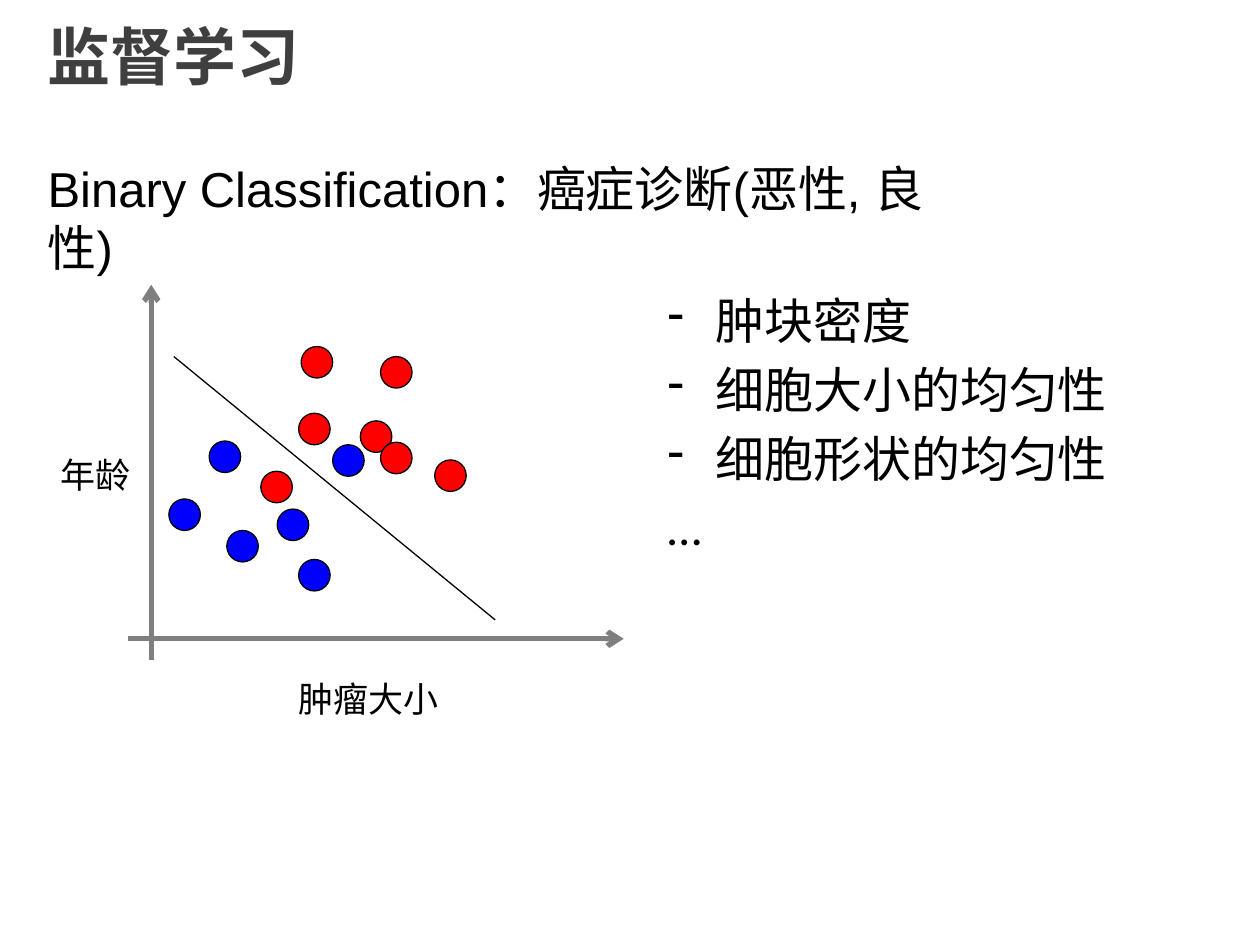
import pptx
import pptx.dml.color
import pptx.enum.shapes
import pptx.enum.text
import pptx.oxml
import pptx.oxml.ns
import pptx.util
import lxml.etree

deck = pptx.Presentation()
deck.slide_width = pptx.util.Inches(10)
deck.slide_height = pptx.util.Inches(7.5)
slide = deck.slides.add_slide(deck.slide_layouts[6])

# Grid of 1000 columns by 750 rows
COL = deck.slide_width // 1000
ROW = deck.slide_height // 750


def colour(hex_string):
    return pptx.dml.color.RGBColor.from_string(hex_string)


def write(left, top, width, height, lines, font, size, ink="000000", wrap=True):
    frame = slide.shapes.add_textbox(left * COL, top * ROW, width * COL, height * ROW).text_frame
    frame.word_wrap = wrap
    frame.text = "\n".join(lines)
    for paragraph in frame.paragraphs:
        paragraph.font.name = font
        paragraph.font.size = pptx.util.Pt(size)
        paragraph.font.color.rgb = colour(ink)
    return frame


# Title
title = write(28, 5, 862, 85, ["监督学习"], "DejaVu Sans", 36, "3F3F3F")
title.vertical_anchor = pptx.enum.text.MSO_ANCHOR.MIDDLE
title.paragraphs[0].font.bold = True
title.paragraphs[0].line_spacing = 0.9

# Axis labels
write(227, 533, 132, 44, ["肿瘤大小"], "Calibri", 20, wrap=False)
write(38, 355, 76, 44, ["年龄"], "Calibri", 20, wrap=False)

# Further features, the last line without a dash
features = write(520, 226, 442, 267,
                 ["肿块密度", "细胞大小的均匀性", "细胞形状的均匀性", "…"], "Calibri", 28)
for paragraph in features.paragraphs:
    paragraph.space_before = pptx.util.Pt(5.6)
    properties = paragraph._p.get_or_add_pPr()
    properties.set("marL", str(38 * COL))
    properties.set("indent", str(-38 * COL))
    if paragraph.text != "…":
        dash = pptx.oxml.parse_xml(
            f'<a:buChar {pptx.oxml.ns.nsdecls("a")} char="-"/>')
        properties.find(pptx.oxml.ns.qn("a:defRPr")).addprevious(dash)

# Axes and decision boundary: start, end, colour, weight, arrowhead
for x1, y1, x2, y2, ink, weight, arrow in [
    (120, 524, 120, 226, "7F7F7F", 3, True),
    (102, 507, 495, 507, "7F7F7F", 3, True),
    (138, 283, 393, 492, "000000", 0.75, False),
]:
    stroke = slide.shapes.add_connector(
        pptx.enum.shapes.MSO_CONNECTOR.STRAIGHT, x1 * COL, y1 * ROW, x2 * COL, y2 * ROW)
    stroke.line.color.rgb = colour(ink)
    stroke.line.width = pptx.util.Pt(weight)
    if arrow:
        lxml.etree.SubElement(stroke.line._get_or_add_ln(),
                              pptx.oxml.ns.qn("a:tailEnd"), type="arrow")
    lxml.etree.SubElement(stroke._element.spPr, pptx.oxml.ns.qn("a:effectLst"))

# Patients: benign in blue, malignant in red
DOT = 25
patients = {
    "0000FF": [(134, 396), (180, 421), (166, 350), (237, 444), (220, 404), (264, 353)],
    "FF0000": [(239, 275), (286, 334), (237, 328), (302, 283), (345, 365), (302, 351),
               (207, 374)],
}
for diagnosis, places in patients.items():
    for x, y in places:
        dot = slide.shapes.add_shape(
            pptx.enum.shapes.MSO_SHAPE.OVAL, x * COL, y * ROW, DOT * COL, DOT * ROW)
        dot.shadow.inherit = False
        dot.fill.solid()
        dot.fill.fore_color.rgb = colour(diagnosis)
        dot.line.color.rgb = colour("000000")
        dot.line.width = pptx.util.Pt(0.75)

# Example task
write(28, 121, 734, 57, ["Binary Classification：癌症诊断(恶性, 良性)"], "Arial", 28)

deck.save("out.pptx")
